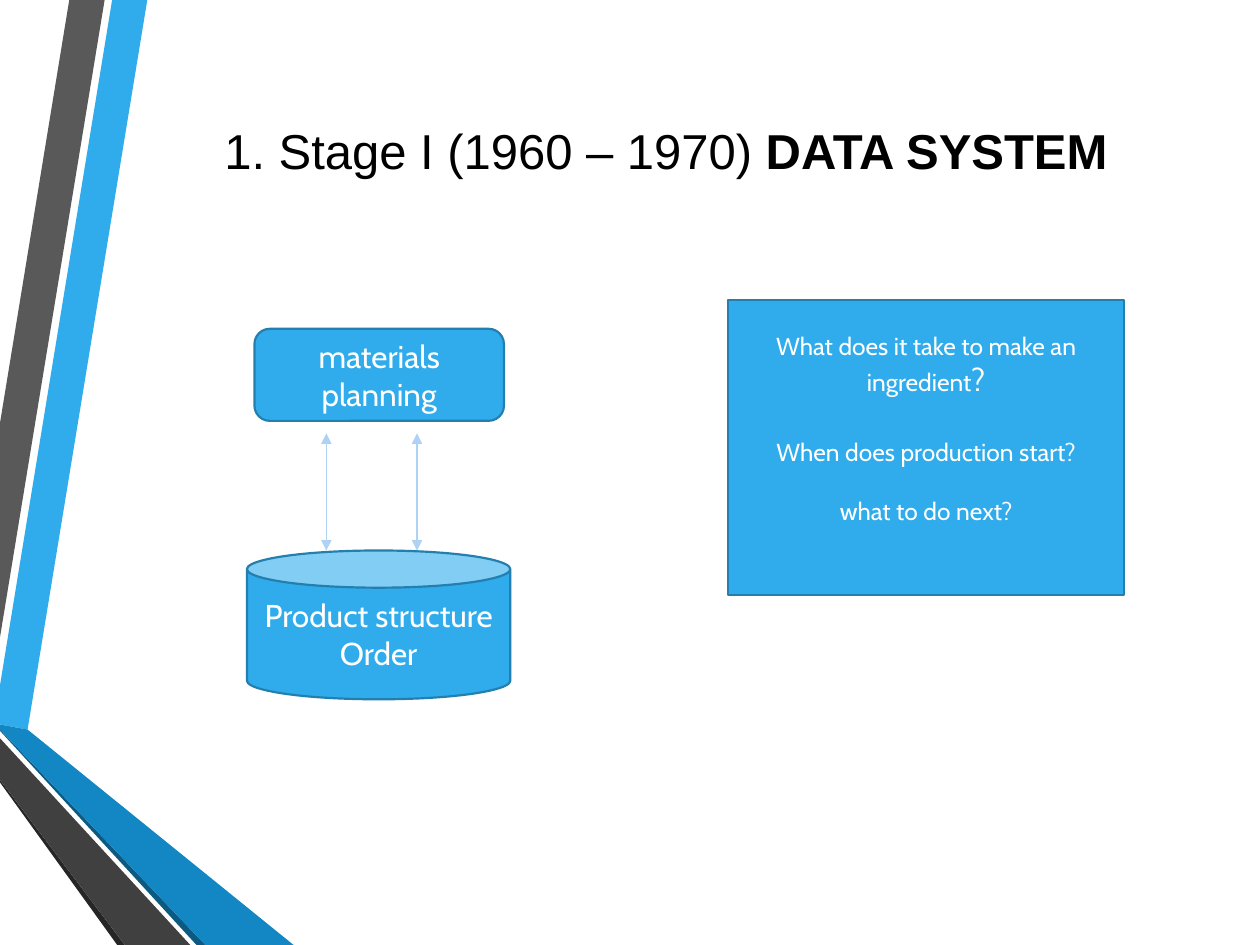
from dataclasses import dataclass

from lxml import etree
from pptx import Presentation
from pptx import util as u
from pptx.dml.color import RGBColor
from pptx.enum import shapes, text
from pptx.oxml import ns

COLORS = {
    "blue": "30ACEC", "deep_blue": "1287C3", "dark_blue": "0C5A82",
    "outline": "247FAF", "arrow": "AED2F4",
    "grey": "595959", "dark_grey": "404040", "near_black": "262626",
    "white": "FFFFFF", "black": "000000",
}
BODY_FONT, TITLE_FONT = "Cabin", "Arial"


@dataclass
class Facet:
    color: str
    points: list[tuple[float, float]]


@dataclass
class Line:
    spans: list[tuple[str, float]]  # wording and size
    space_after: float = 0


@dataclass
class Node:
    kind: shapes.MSO_SHAPE
    place: tuple[float, float, float, float]  # left, top, width, height
    lines: list[Line]
    bottom_inset: float = 3.6


FACETS = [
    Facet("blue", [(0, 391.7), (0, 414), (15.8, 416.9), (84.2, 0), (64.1, 0)]),
    Facet("grey", [(59.8, 0), (39.6, 0), (0, 241.9), (0, 364.3)]),
    Facet("near_black", [(0, 445.7), (0, 447.1), (67, 540), (71.3, 540)]),
    Facet("dark_blue", [(0, 416.9), (0, 417.6), (112.3, 540), (117.4, 540)]),
    Facet("deep_blue", [(0, 416.9), (117.4, 540), (167.8, 540), (15.8, 416.9), (0, 414)]),
    Facet("dark_grey", [(0, 445.7), (71.3, 540), (108.7, 540), (0, 421.9)]),
]
NODES = [
    Node(shapes.MSO_SHAPE.CAN, (141.1, 314.6, 150.5, 85),
         [Line([("Product structure", 18)]), Line([("Order", 18)])]),
    Node(shapes.MSO_SHAPE.ROUNDED_RECTANGLE, (145.4, 187.9, 142.6, 52.6),
         [Line([("materials planning", 18)])]),
    Node(shapes.MSO_SHAPE.RECTANGLE, (416.2, 171.4, 226.1, 168.5),
         [Line([("What does it take to make an ingredient", 14), ("?", 18)], 21.9),
          Line([("When does production start?", 14)], 17),
          Line([("what to do next?", 14)])], bottom_inset=25.5),
]
ARROW_XS = (186.5, 238.3)
ARROW_TOP, ARROW_BOTTOM = 247.7, 314.6


def rgb(name: str) -> RGBColor:
    return RGBColor.from_string(COLORS[name])


def paint(shape, color: str) -> None:
    shape.shadow.inherit = False
    shape.fill.solid()
    shape.fill.fore_color.rgb = rgb(color)


def draw_facet(page, facet: Facet) -> None:
    points = [(u.Pt(x), u.Pt(y)) for x, y in facet.points]
    builder = page.shapes.build_freeform(*points[0], scale=1.0)
    builder.add_line_segments(points[1:], close=True)
    shape = builder.convert_to_shape()
    paint(shape, facet.color)
    shape.line.fill.background()


def draw_title(page) -> None:
    box = page.shapes.add_textbox(u.Pt(77), u.Pt(15.8), u.Pt(607), u.Pt(172.1))
    frame = box.text_frame
    frame.word_wrap = True
    frame.vertical_anchor = text.MSO_ANCHOR.MIDDLE
    frame.margin_bottom = u.Pt(35.8)  # lifts the title by half a line
    para = frame.paragraphs[0]
    para.alignment = text.PP_ALIGN.CENTER
    para.font.name, para.font.size = TITLE_FONT, u.Pt(28)
    para.font.color.rgb = rgb("black")
    para.add_run().text = "1. Stage I (1960 – 1970) "
    span = para.add_run()
    span.text = "DATA SYSTEM"
    span.font.bold = True


def draw_node(page, node: Node) -> None:
    shape = page.shapes.add_shape(node.kind, *map(u.Pt, node.place))
    paint(shape, "blue")
    shape.line.color.rgb = rgb("outline")
    shape.line.width = u.Pt(1.25)
    frame = shape.text_frame
    frame.word_wrap = True
    frame.vertical_anchor = text.MSO_ANCHOR.MIDDLE
    frame.margin_bottom = u.Pt(node.bottom_inset)
    for index, line in enumerate(node.lines):
        para = frame.add_paragraph() if index else frame.paragraphs[0]
        para.alignment = text.PP_ALIGN.CENTER
        para.space_after = u.Pt(line.space_after)
        para.font.name = BODY_FONT
        para.font.color.rgb = rgb("white")
        for wording, size in line.spans:
            span = para.add_run()
            span.text = wording
            span.font.size = u.Pt(size)


def draw_double_arrow(page, x: float) -> None:
    arrow = page.shapes.add_connector(
        shapes.MSO_CONNECTOR.STRAIGHT,
        u.Pt(x), u.Pt(ARROW_TOP), u.Pt(x), u.Pt(ARROW_BOTTOM))
    arrow.line.color.rgb = rgb("arrow")
    arrow.line.width = u.Pt(0.75)
    outline = arrow.line._get_or_add_ln()
    for end in ("a:headEnd", "a:tailEnd"):
        etree.SubElement(outline, ns.qn(end), type="triangle")
    etree.SubElement(arrow._element.spPr, ns.qn("a:effectLst"))


def main() -> None:
    deck = Presentation()
    deck.slide_width, deck.slide_height = u.Pt(720), u.Pt(540)
    page = deck.slides.add_slide(deck.slide_layouts[6])

    # Folded ribbons down the left edge
    for facet in FACETS:
        draw_facet(page, facet)

    draw_title(page)

    # Planning, its data store, and the questions
    for node in NODES:
        draw_node(page, node)

    # Two-way exchange between planning and store
    for x in ARROW_XS:
        draw_double_arrow(page, x)

    deck.save("out.pptx")


if __name__ == "__main__":
    main()
